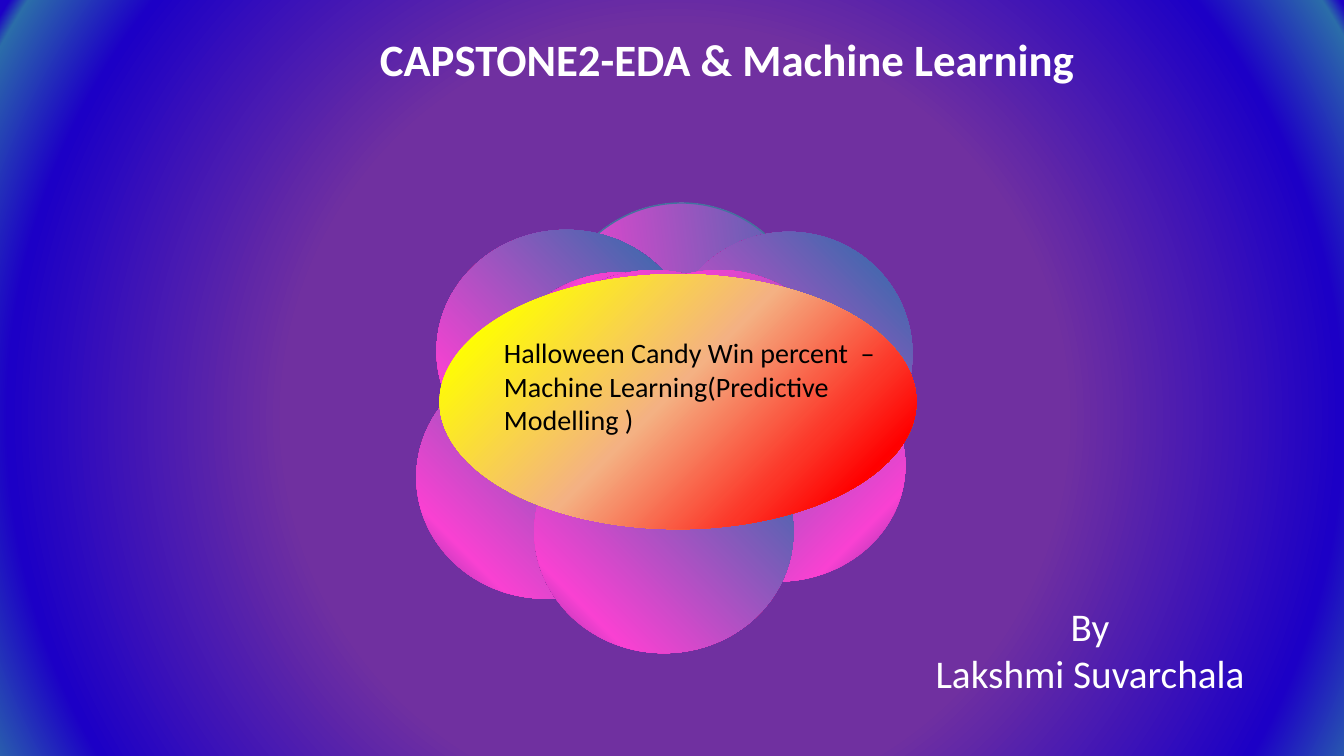
from dataclasses import dataclass

from lxml import etree
from pptx import Presentation
from pptx.dml.color import RGBColor
from pptx.enum.shapes import MSO_SHAPE
from pptx.enum.text import MSO_AUTO_SIZE, PP_ALIGN
from pptx.oxml.ns import qn
from pptx.util import Inches, Pt

RECTANGLE = MSO_SHAPE.RECTANGLE
CIRCLE = MSO_SHAPE.FLOWCHART_CONNECTOR
CENTER = PP_ALIGN.CENTER
LEFT = PP_ALIGN.LEFT
FIT_SHAPE = MSO_AUTO_SIZE.SHAPE_TO_FIT_TEXT


def petal_stops(base):
    return ((0, "FFC000"), (0, "7030A0"), (0, "408BCE"), (0, base),
            (19, "F941D2"), (97, "2B6DA9"), (99, "1C00C6"),
            (100, "FFC000"), (100, "4854A5"), (100, "1C00C6"))


@dataclass(frozen=True)
class Theme:
    font: str = "Calibri"
    light: str = "FFFFFF"
    dark: str = "000000"
    rim: str = "43739E"
    title_size: int = 32
    author_size: int = 28
    topic_size: int = 20
    backdrop: tuple = ((0, "408BCE"), (0, "7030A0"), (27, "7030A0"),
                       (41, "7030A0"), (49, "7030A0"), (84, "1C00C6"),
                       (97, "2B6DA9"), (99, "1C00C6"))
    petal: tuple = petal_stops("7030A0")
    top_petal: tuple = petal_stops("8FAADC")
    heart: tuple = ((12, "FFFF00"), (48, "F4B183"), (74, "FC3628"),
                    (86, "FF0000"), (100, "C55A11"))


THEME = Theme()

PETALS = (
    (0.2, 0.26, 2.57, 2.41, "v"),
    (2.47, 0.28, 2.45, 2.42, "v"),
    (0.74, 0.68, 2.6, 2.53, ""),
    (1.61, 0.78, 2.6, 2.53, ""),
    (1, 0.8, 2.6, 2.53, ""),
    (1.7, 0.66, 2.6, 2.53, ""),
    (1.05, 0.66, 2.6, 2.53, ""),
    (2.32, 1.45, 2.53, 2.3, "hv"),
    (0, 1.51, 2.57, 2.41, "v"),
    (1.17, 2.05, 2.57, 2.41, "v"),
)


def apply_gradient(shape, stops, radial):
    shape.fill.background()
    properties = shape.element.spPr
    gradient = etree.Element(qn("a:gradFill"), rotWithShape="1")
    stop_list = etree.SubElement(gradient, qn("a:gsLst"))
    for position, color in stops:
        stop = etree.SubElement(stop_list, qn("a:gs"), pos=str(position * 1000))
        etree.SubElement(stop, qn("a:srgbClr"), val=color)
    if radial:
        focus = etree.SubElement(gradient, qn("a:path"), path="circle")
        etree.SubElement(focus, qn("a:fillToRect"),
                         dict.fromkeys("ltrb", "50000"))
    else:
        etree.SubElement(gradient, qn("a:lin"), ang="2700000", scaled="1")
    properties.replace(properties.find(qn("a:noFill")), gradient)


def add_gradient_shape(slide, kind, box, stops, flip="", radial=False):
    shape = slide.shapes.add_shape(kind, *map(Inches, box))
    shape.shadow.inherit = False
    shape.line.fill.background()
    apply_gradient(shape, stops, radial)
    for axis in flip:
        shape.element.spPr.xfrm.set("flip" + axis.upper(), "1")
    return shape


def add_text(slide, box, lines, size, color, align=CENTER, bold=False):
    frame = slide.shapes.add_textbox(*map(Inches, box)).text_frame
    frame.word_wrap = True
    frame.auto_size = FIT_SHAPE
    frame.text = "\n".join(lines)
    for paragraph in frame.paragraphs:
        paragraph.alignment = align
        paragraph.font.name = THEME.font
        paragraph.font.size = Pt(size)
        paragraph.font.bold = bold
        paragraph.font.color.rgb = RGBColor.from_string(color)


def add_backdrop(slide, box):
    add_gradient_shape(slide, RECTANGLE, box, THEME.backdrop, radial=True)


def add_flower(slide, left, top):
    top_petal = add_gradient_shape(
        slide, CIRCLE, (left + 1.34, top, 2.56, 2.54), THEME.top_petal)
    top_petal.rotation = 307.7
    top_petal.line.color.rgb = RGBColor.from_string(THEME.rim)
    top_petal.line.width = Pt(1)
    for dx, dy, width, height, flip in PETALS:
        add_gradient_shape(slide, CIRCLE, (left + dx, top + dy, width, height),
                           THEME.petal, flip)
    add_gradient_shape(slide, CIRCLE, (left + 0.23, top + 0.7, 4.73, 2.53),
                       THEME.heart)
    add_text(slide, (left + 0.77, top + 1.26, 4.26, 1.11),
             ["Halloween Candy Win percent  – Machine Learning(Predictive Modelling )"],
             THEME.topic_size, THEME.dark, LEFT)


def add_title(slide, box):
    add_text(slide, box, ["CAPSTONE2-EDA & Machine Learning"],
             THEME.title_size, THEME.light, bold=True)


def add_author(slide, box):
    add_text(slide, box, ["By", "Lakshmi Suvarchala"],
             THEME.author_size, THEME.light)


def main():
    deck = Presentation()
    deck.slide_width = Inches(13.33)
    deck.slide_height = Inches(7.5)
    slide = deck.slides.add_slide(deck.slide_layouts[6])
    add_backdrop(slide, (0, 0, 13.39, 8.29))
    add_flower(slide, 4.13, 2.02)
    add_author(slide, (8.52, 5.93, 4.58, 1.04))
    add_title(slide, (2.95, 0.27, 8.53, 0.64))
    deck.save("out.pptx")


if __name__ == "__main__":
    main()
